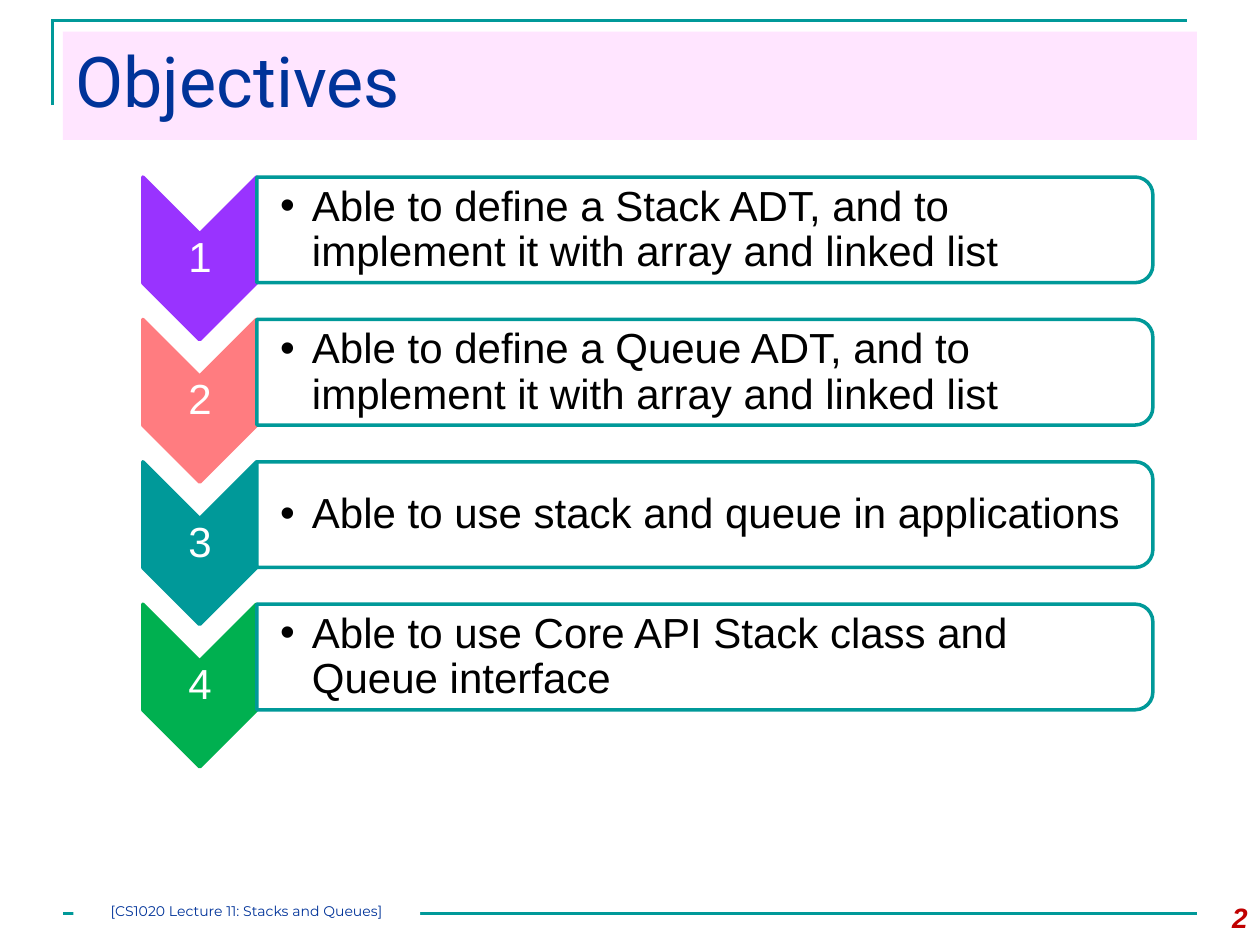
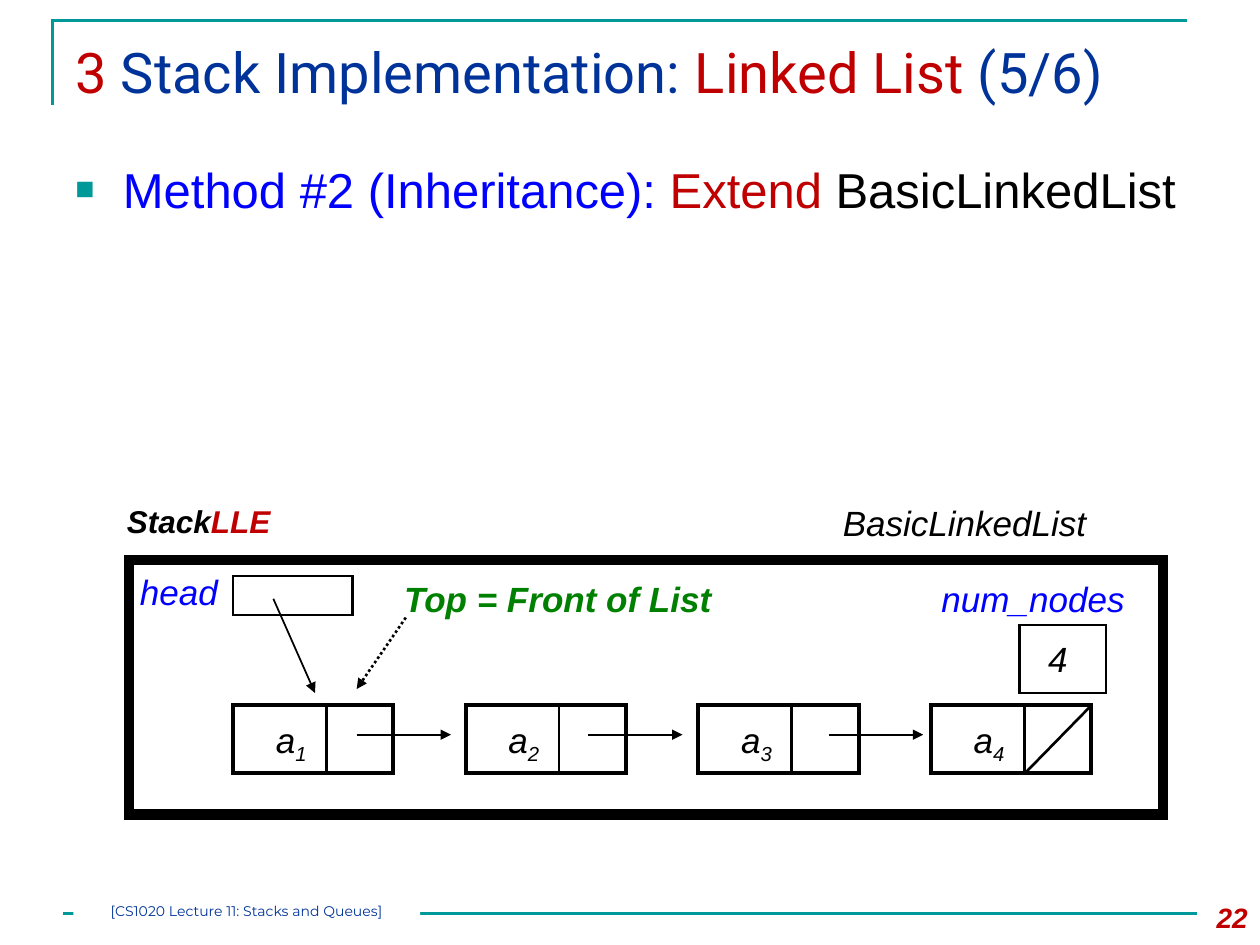
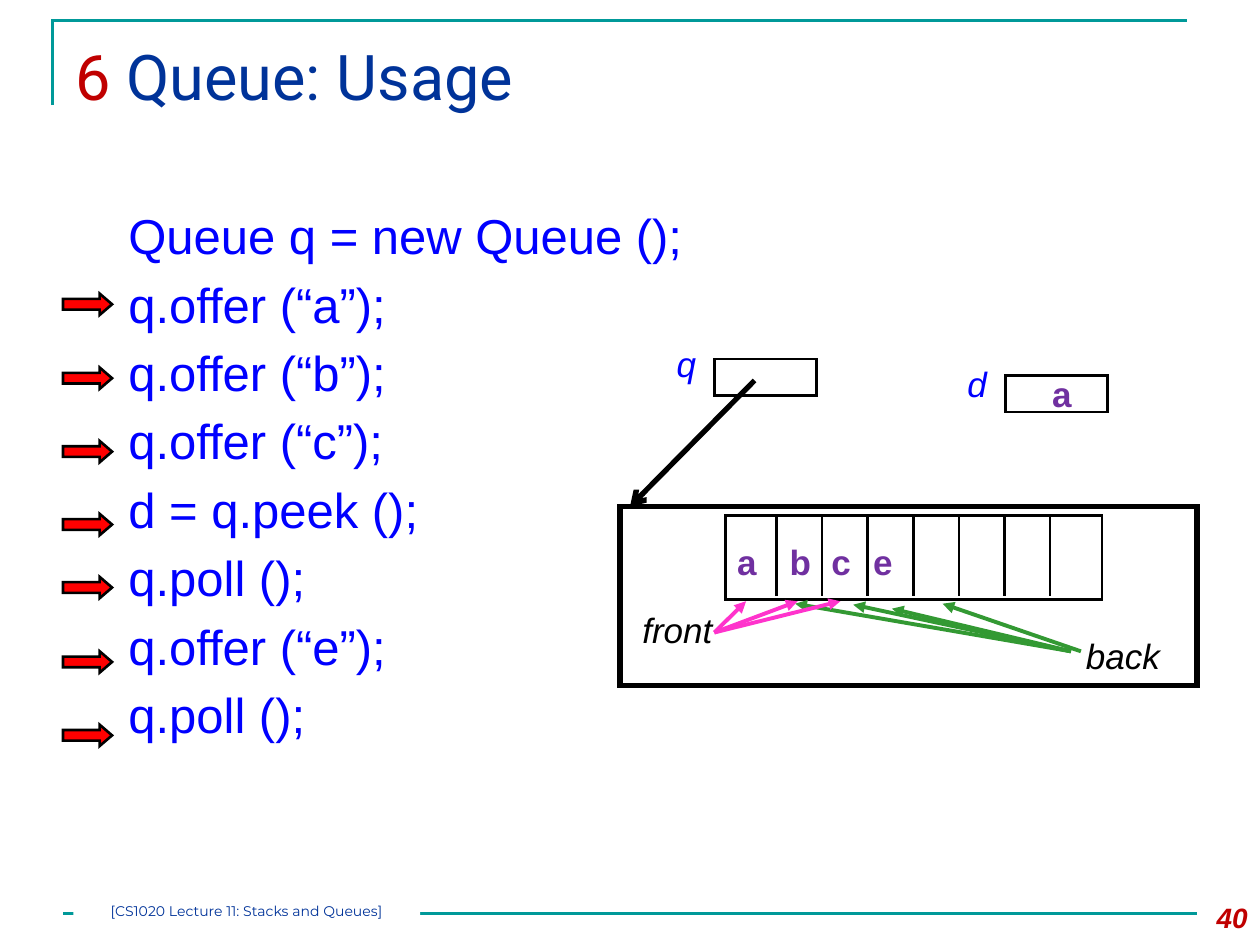
"""Builds three lecture slides about stacks and queues."""
import lxml.etree
import pptx
import pptx.dml.color
import pptx.enum.dml
import pptx.enum.shapes
import pptx.enum.text
import pptx.oxml.ns
import pptx.util

Cm = pptx.util.Cm
Pt = pptx.util.Pt
RGBColor = pptx.dml.color.RGBColor
SHAPE = pptx.enum.shapes.MSO_SHAPE
ALIGN = pptx.enum.text.PP_ALIGN
ANCHOR = pptx.enum.text.MSO_ANCHOR
AUTO_SIZE = pptx.enum.text.MSO_AUTO_SIZE
DASH = pptx.enum.dml.MSO_LINE

WHITE = RGBColor(0xFF, 0xFF, 0xFF)
BLACK = RGBColor(0x00, 0x00, 0x00)
TEAL = RGBColor(0x00, 0x99, 0x99)
NAVY = RGBColor(0x00, 0x33, 0x99)
BLUE = RGBColor(0x00, 0x00, 0xFF)
DARK_RED = RGBColor(0xC0, 0x00, 0x00)
RED = RGBColor(0xFF, 0x00, 0x00)
PINK = RGBColor(0xFF, 0x99, 0xFF)
MAGENTA = RGBColor(0xFF, 0x33, 0xCC)
VIOLET = RGBColor(0x99, 0x33, 0xFF)
CORAL = RGBColor(0xFF, 0x7C, 0x80)
GREEN = RGBColor(0x00, 0xB0, 0x50)
DARK_GREEN = RGBColor(0x00, 0x80, 0x00)
LEAF = RGBColor(0x33, 0x99, 0x33)
PURPLE = RGBColor(0x70, 0x30, 0xA0)

FOOTER = "[CS1020 Lecture 11: Stacks and Queues]"
TITLE_PLACE = (1.27, 0.64, 22.86, 2.18)

OBJECTIVES = [
    ("Able to define a Stack ADT, and to implement it with array and linked list", VIOLET),
    ("Able to define a Queue ADT, and to implement it with array and linked list", CORAL),
    ("Able to use stack and queue in applications", TEAL),
    ("Able to use Core API Stack class and Queue interface", GREEN),
]
OBJECTIVE_TOP, OBJECTIVE_PITCH = 3.57, 2.87

LIST_TITLE = [("3 ", DARK_RED), ("Stack Implementation: ", NAVY),
              ("Linked List ", DARK_RED), ("(5/6)", NAVY)]
METHOD = [("Method #2 (Inheritance): ", BLUE), ("Extend", DARK_RED), (" BasicLinkedList", BLACK)]
LIST_LABELS = [
    ("head", BLUE, False, (2.57, 11.38, 2.08, 1.09)),
    ("BasicLinkedList", BLACK, False, (16.74, 9.98, 5.46, 1.12)),
    ("Top = Front of List", DARK_GREEN, True, (7.9, 11.51, 6.76, 1.12)),
    ("num_nodes", BLUE, False, (18.73, 11.51, 4.3, 1.12)),
    ("4", BLACK, False, (20.88, 12.73, 0.95, 1.12)),
]
LIST_BOXES = [
    ((4.7, 11.61, 2.41, 0.79), 1.5),
    ((2.6, 11.29, 20.85, 5.13), 6),
    ((20.55, 12.6, 1.75, 1.37), 1.5),
]
NODE_COUNT, NODE_LEFT, NODE_TOP, NODE_PITCH = 4, 4.7, 14.22, 4.69
NEXT_LEFTS, NEXT_TOP, NEXT_LENGTH = (7.19, 11.86, 16.71), 14.81, 1.9

QUEUE_TITLE = [("6 ", DARK_RED), ("Queue: Usage", NAVY)]
QUEUE_CODE = [
    "Queue q = new Queue ();",
    "q.offer (“a”);",
    "q.offer (“b”);",
    "q.offer (“c”);",
    "d = q.peek ();",
    "q.poll ();",
    "q.offer (“e”);",
    "q.poll ();",
]
STEP_TOPS = (5.92, 7.41, 8.89, 10.36, 11.63, 13.13, 14.61)
QUEUE_BOXES = [
    ((12.5, 10.21, 11.63, 3.61), 3),
    ((14.4, 7.24, 2.06, 0.74), 1.5),
    ((14.63, 10.39, 7.59, 1.7), 1.5),
    ((20.27, 7.57, 2.06, 0.74), 1.5),
]
CELL_TOP, CELL_BOTTOM, FIRST_DIVIDER, CELL_PITCH, DIVIDER_COUNT = 10.39, 12.01, 15.65, 0.92, 7
QUEUE_LABELS = [
    ("q", BLUE, (13.39, 6.78, 0.91, 1.09)),
    ("d", BLUE, (19.25, 7.19, 0.91, 1.09)),
    ("front", BLACK, (12.7, 12.14, 1.93, 1.09)),
    ("back", BLACK, (21.64, 12.67, 2.01, 1.09)),
]
QUEUE_ITEMS = [("a", 14.61, 10.77), ("b", 15.67, 10.77), ("c", 16.51, 10.77),
               ("e", 17.35, 10.77), ("a", 20.96, 7.39)]
FRONT_START = (14.4, 12.75)
FRONT_ENDS = [(15.04, 12.12), (16.08, 12.12), (16.94, 12.12)]
BACK_MOVES = [
    ((21.59, 13.13), (16.03, 12.17)),
    ((21.59, 13.13), (17.2, 12.19)),
    ((21.59, 13.13), (17.98, 12.27)),
    ((21.79, 13.13), (19.0, 12.17)),
]


def add_xml(parent, tag, **attributes):
    """Append a DrawingML element."""
    return lxml.etree.SubElement(parent, pptx.oxml.ns.qn(tag), **attributes)


def paint(shape, fill=None, line=None, width=1.5, sharp=True):
    """Set fill and outline and drop the shadow."""
    shape.shadow.inherit = False
    if fill is None:
        shape.fill.background()
    else:
        shape.fill.solid()
        shape.fill.fore_color.rgb = fill
    if line is None:
        shape.line.fill.background()
    else:
        shape.line.color.rgb = line
        shape.line.width = Pt(width)
        if sharp:
            add_xml(shape.line._get_or_add_ln(), "a:miter", lim="800000")


def add_block(page, kind, place, fill=None, line=None, width=1.5, sharp=True):
    """Add a preset shape."""
    block = page.shapes.add_shape(kind, *map(Cm, place))
    paint(block, fill, line, width, sharp)
    return block


def add_turned(page, kind, place, fill, line):
    """Add a shape turned by a quarter that covers the given place."""
    left, top, width, height = place
    block = add_block(page, kind, (left + (width - height) / 2, top + (height - width) / 2,
                                   height, width), fill, line, 2, sharp=False)
    block.rotation = 90


def add_line(page, start, end, colour=BLACK, width=1.5, head=None, dash=None):
    """Add a straight line, with an arrowhead if one is named."""
    line = page.shapes.add_connector(pptx.enum.shapes.MSO_CONNECTOR.STRAIGHT,
                                     *map(Cm, start + end))
    line.line.color.rgb = colour
    line.line.width = Pt(width)
    if dash:
        line.line.dash_style = dash
    if head:
        add_xml(line.line._get_or_add_ln(), "a:tailEnd", type=head)
    add_xml(line._element.spPr, "a:effectLst")


def add_spans(para, spans, size, font="Arial", bold=False, italic=False):
    """Add coloured runs to a paragraph."""
    for text, colour in spans:
        span = para.add_run()
        span.text = text
        span.font.name = font
        span.font.size = Pt(size)
        span.font.bold = bold
        span.font.italic = italic
        span.font.color.rgb = colour


def add_bullet(para, mark, indent, colour=None, percent=None):
    """Give a paragraph a hanging bullet."""
    properties = para._p.get_or_add_pPr()
    properties.set("marL", str(Cm(indent)))
    properties.set("indent", str(-Cm(indent)))
    if colour is not None:
        add_xml(add_xml(properties, "a:buClr"), "a:srgbClr", val=str(colour))
    if percent:
        add_xml(properties, "a:buSzPct", val=str(percent * 1000))
    add_xml(properties, "a:buFont", typeface="Arial")
    add_xml(properties, "a:buChar", char=mark)


def set_frame(box, anchor=ANCHOR.TOP, insets=None):
    """Wrap the text of a box and return its first paragraph."""
    frame = box.text_frame
    frame.word_wrap = True
    frame.vertical_anchor = anchor
    if insets:
        frame.margin_left, frame.margin_top, frame.margin_right, frame.margin_bottom = map(Cm, insets)
    para = frame.paragraphs[0]
    para.alignment = ALIGN.LEFT
    return para


def add_text(page, place, anchor=ANCHOR.TOP, insets=None):
    """Add a text box and return its first paragraph."""
    return set_frame(page.shapes.add_textbox(*map(Cm, place)), anchor, insets)


def add_label(page, place, spans, size=20, bold=False, italic=True):
    """Add a one-line label that fits its text."""
    box = page.shapes.add_textbox(*map(Cm, place))
    box.text_frame.word_wrap = False
    box.text_frame.auto_size = AUTO_SIZE.SHAPE_TO_FIT_TEXT
    add_spans(box.text_frame.paragraphs[0], spans, size, bold=bold, italic=italic)
    return box


def add_page(deck, number, title, title_size, title_fill=None):
    """Add a page with its frame, title, footer and number."""
    page = deck.slides.add_slide(deck.slide_layouts[6])
    outline = page.shapes.build_freeform(Cm(1.06), Cm(2.12))
    outline.add_line_segments([(Cm(1.06), Cm(0.42)), (Cm(23.92), Cm(0.42))], close=False)
    paint(outline.convert_to_shape(), line=TEAL)
    add_line(page, (1.27, 18.42), (24.13, 18.42), TEAL)

    band = add_block(page, SHAPE.RECTANGLE, TITLE_PLACE, title_fill)
    if title_fill is not None:
        colour = band._element.spPr.find(".//" + pptx.oxml.ns.qn("a:srgbClr"))
        add_xml(colour, "a:alpha", val="25000")
    add_spans(set_frame(band), title, title_size, "Roboto")

    para = add_text(page, (23.7, 18.03, 1.7, 1.02))
    para.alignment = ALIGN.RIGHT
    add_spans(para, [(str(number), DARK_RED)], 16, bold=True, italic=True)

    footer = add_block(page, SHAPE.RECTANGLE, (1.48, 18.2, 6.99, 0.43), WHITE)
    para = set_frame(footer, insets=(0, 0, 0, 0))
    para.alignment = ALIGN.CENTER
    add_spans(para, [(FOOTER, NAVY)], 8, "Montserrat")
    return page


def build_objectives(deck):
    """Build the numbered list of objectives."""
    page = add_page(deck, 2, [("Objectives", NAVY)], 40, PINK)
    for index, (objective, colour) in enumerate(OBJECTIVES):
        top = OBJECTIVE_TOP + index * OBJECTIVE_PITCH
        add_turned(page, SHAPE.CHEVRON, (2.88, top, 2.29, 3.28), colour, colour)
        para = add_text(page, (2.89, top + 1.15, 2.29, 0.99), ANCHOR.MIDDLE, (0.05,) * 4)
        para.alignment = ALIGN.CENTER
        para.line_spacing = 0.9
        add_spans(para, [(str(index + 1), WHITE)], 24)

        add_turned(page, SHAPE.ROUND_2_SAME_RECTANGLE, (5.18, top, 18.06, 2.13), WHITE, TEAL)
        para = add_text(page, (5.17, top + 0.11, 17.96, 1.93), ANCHOR.MIDDLE,
                        (0.48, 0.05, 0.05, 0.05))
        add_bullet(para, "•", 0.64)
        para.line_spacing = 0.9
        add_spans(para, [(objective, BLACK)], 24)


def build_linked_list(deck):
    """Build the linked list diagram."""
    page = add_page(deck, 22, LIST_TITLE, 32)
    para = add_text(page, (1.27, 2.97, 23.7, 2.97))
    add_bullet(para, "■", 0.96, TEAL, 65)
    para.line_spacing = 1.1
    add_spans(para, METHOD, 28)

    for place, width in LIST_BOXES:
        add_block(page, SHAPE.RECTANGLE, place, line=BLACK, width=width)
    add_label(page, (2.31, 10.0, 3.43, 1.02), [("Stack", BLACK), ("LLE", DARK_RED)], 18, True)
    for text, colour, bold, place in LIST_LABELS:
        add_label(page, place, [(text, colour)], bold=bold)

    for index in range(NODE_COUNT):
        left = NODE_LEFT + index * NODE_PITCH
        divider = left + 1.88
        add_block(page, SHAPE.RECTANGLE, (left, NODE_TOP, 3.23, 1.37), line=BLACK, width=2.25)
        add_line(page, (divider, NODE_TOP - 0.05), (divider, NODE_TOP + 1.35))
        label = add_label(page, (left + 0.61, NODE_TOP + 0.13, 1.17, 1.09),
                          [("a", BLACK), (str(index + 1), BLACK)])
        subscript = label.text_frame.paragraphs[0].runs[1]
        subscript._r.get_or_add_rPr().set("baseline", "-25000")
    add_line(page, (21.97, 14.25), (20.65, 15.6))

    for left in NEXT_LEFTS:
        add_line(page, (left, NEXT_TOP), (left + NEXT_LENGTH, NEXT_TOP), width=1, head="triangle")
    add_line(page, (5.51, 12.07), (6.35, 13.97), width=1, head="triangle")
    add_line(page, (8.18, 12.45), (7.19, 13.89), head="triangle", dash=DASH.ROUND_DOT)


def build_queue(deck):
    """Build the queue code and its array diagram."""
    page = add_page(deck, 40, QUEUE_TITLE, 36)
    para = add_text(page, (2.34, 4.02, 12.07, 11.86))
    frame = para._parent
    for index, code in enumerate(QUEUE_CODE):
        if index:
            para = frame.add_paragraph()
            para.space_before = Pt(5.5)
        add_spans(para, [(code, BLUE)], 28)
    for top in STEP_TOPS:
        arrow = add_block(page, SHAPE.RIGHT_ARROW, (1.27, top, 0.99, 0.43), RED, BLACK)
        arrow.adjustments[1] = 0.58

    for place, width in QUEUE_BOXES:
        add_block(page, SHAPE.RECTANGLE, place, WHITE, BLACK, width)
    for index in range(DIVIDER_COUNT):
        across = FIRST_DIVIDER + index * CELL_PITCH
        add_line(page, (across, CELL_TOP), (across, CELL_BOTTOM))
    for text, colour, place in QUEUE_LABELS:
        add_label(page, place, [(text, colour)])
    for text, left, top in QUEUE_ITEMS:
        add_label(page, (left, top, 0.91, 1.09), [(text, PURPLE)], bold=True, italic=False)

    add_line(page, (15.21, 7.67), (12.7, 10.21), width=3, head="arrow")
    for start, end in BACK_MOVES:
        add_line(page, start, end, LEAF, 2.25, "triangle")
    for end in FRONT_ENDS:
        add_line(page, FRONT_START, end, MAGENTA, 2.25, "triangle")


def main():
    """Build and save the deck."""
    deck = pptx.Presentation()
    deck.slide_width, deck.slide_height = Cm(25.4), Cm(19.05)
    build_objectives(deck)
    build_linked_list(deck)
    build_queue(deck)
    deck.save("out.pptx")


if __name__ == "__main__":
    main()
